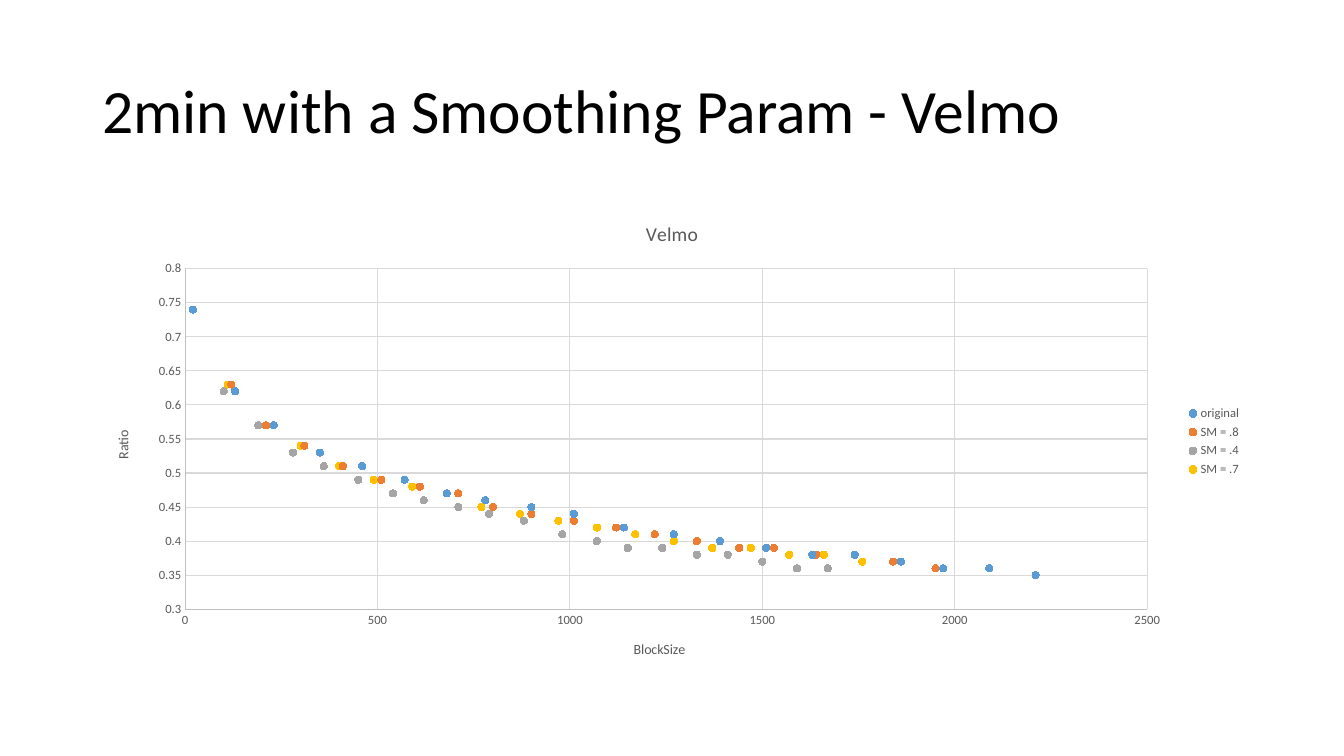
from lxml import etree
from pptx import Presentation
from pptx import util as u
from pptx.chart.data import XyChartData
from pptx.dml.color import RGBColor
from pptx.enum import chart as ch, text
from pptx.oxml.ns import qn

FONT = "Calibri"
BLACK = RGBColor(0, 0, 0)
TEXT_GREY = RGBColor(0x59, 0x59, 0x59)
AXIS_GREY = RGBColor(0xBF, 0xBF, 0xBF)
GRID_GREY = RGBColor(0xD9, 0xD9, 0xD9)
BLUE = RGBColor(0x5B, 0x9B, 0xD5)
ORANGE = RGBColor(0xED, 0x7D, 0x31)
GREY = RGBColor(0xA5, 0xA5, 0xA5)
YELLOW = RGBColor(0xFF, 0xC0, 0x00)

LEFT, WIDTH = u.Cm(2.33), u.Cm(29.21)
PROGRAM = "Velmo"

# name, colour, block sizes, ratios
SERIES = [
    ("original", BLUE,
     [20, 130, 230, 350, 460, 570, 680, 780, 900, 1010,
      1140, 1270, 1390, 1510, 1630, 1740, 1860, 1970, 2090, 2210],
     [0.74, 0.62, 0.57, 0.53, 0.51, 0.49, 0.47, 0.46, 0.45, 0.44,
      0.42, 0.41, 0.4, 0.39, 0.38, 0.38, 0.37, 0.36, 0.36, 0.35]),
    ("SM = .8", ORANGE,
     [20, 120, 210, 310, 410, 510, 610, 710, 800, 900,
      1010, 1120, 1220, 1330, 1440, 1530, 1640, 1740, 1840, 1950],
     [0.74, 0.63, 0.57, 0.54, 0.51, 0.49, 0.48, 0.47, 0.45, 0.44,
      0.43, 0.42, 0.41, 0.4, 0.39, 0.39, 0.38, 0.38, 0.37, 0.36]),
    ("SM = .4", GREY,
     [20, 100, 190, 280, 360, 450, 540, 620, 710, 790,
      880, 980, 1070, 1150, 1240, 1330, 1410, 1500, 1590, 1670],
     [0.74, 0.62, 0.57, 0.53, 0.51, 0.49, 0.47, 0.46, 0.45, 0.44,
      0.43, 0.41, 0.4, 0.39, 0.39, 0.38, 0.38, 0.37, 0.36, 0.36]),
    ("SM = .7", YELLOW,
     [20, 110, 210, 300, 400, 490, 590, 680, 770, 870,
      970, 1070, 1170, 1270, 1370, 1470, 1570, 1660, 1760, 1860],
     [0.74, 0.63, 0.57, 0.54, 0.51, 0.49, 0.48, 0.47, 0.45, 0.44,
      0.43, 0.42, 0.41, 0.4, 0.39, 0.39, 0.38, 0.38, 0.37, 0.37]),
]


def set_all(target, **values):
    for name, value in values.items():
        setattr(target, name, value)


def style_font(font, size, color=TEXT_GREY):
    set_all(font, name=FONT, size=u.Pt(size), bold=False)
    font.color.rgb = color


def style_line(line, color):
    line.color.rgb = color
    line.width = u.Pt(0.75)


def add_heading(page, words):
    box = page.shapes.add_textbox(LEFT, u.Cm(1.01), WIDTH, u.Cm(3.68))
    frame = box.text_frame
    set_all(frame, word_wrap=True, vertical_anchor=text.MSO_ANCHOR.MIDDLE)
    para = frame.paragraphs[0]
    para.line_spacing = 0.9
    span = para.add_run()
    span.text = words
    style_font(span.font, 44, BLACK)


def set_title(owner, words, size):
    """Title a chart or an axis."""
    frame = owner.text_frame
    frame.text = words
    style_font(frame.paragraphs[0].runs[0].font, size)


def style_axis(axis, title, **scale):
    set_all(axis, has_major_gridlines=True, has_minor_gridlines=False,
            major_tick_mark=ch.XL_TICK_MARK.NONE,
            minor_tick_mark=ch.XL_TICK_MARK.NONE, **scale)
    set_all(axis.tick_labels, number_format="General",
            number_format_is_linked=False)
    style_font(axis.tick_labels.font, 9)
    style_line(axis.format.line, AXIS_GREY)
    style_line(axis.major_gridlines.format.line, GRID_GREY)
    set_title(axis.axis_title, title, 10)


def place_plot(chart, **fractions):
    """Fix the inner plot area as fractions of the chart frame."""
    plot_area = chart.plots[0]._element.getparent()
    for old in plot_area.findall(qn("c:layout")):
        plot_area.remove(old)
    layout = etree.Element(qn("c:layout"))
    plot_area.insert(0, layout)
    manual = etree.SubElement(layout, qn("c:manualLayout"))
    settings = {"layoutTarget": "inner", "xMode": "edge", "yMode": "edge"}
    for name, value in {**settings, **fractions}.items():
        etree.SubElement(manual, qn("c:" + name)).set("val", str(value))


def add_scatter(page):
    data = XyChartData()
    for name, _, sizes, ratios in SERIES:
        entry = data.add_series(name)
        for size, ratio in zip(sizes, ratios):
            entry.add_data_point(size, ratio)
    chart = page.shapes.add_chart(ch.XL_CHART_TYPE.XY_SCATTER, LEFT, u.Cm(5.08),
                                  WIDTH, u.Cm(12.09), data).chart
    style_font(chart.font, 10, BLACK)
    set_all(chart, has_title=True, has_legend=True)
    set_title(chart.chart_title, PROGRAM, 14)
    set_all(chart.legend, position=ch.XL_LEGEND_POSITION.RIGHT,
            include_in_layout=False)
    style_font(chart.legend.font, 9)
    style_axis(chart.category_axis, "BlockSize",
               minimum_scale=0, maximum_scale=2500, major_unit=500)
    style_axis(chart.value_axis, "Ratio",
               minimum_scale=0.3, maximum_scale=0.8, major_unit=0.05)
    chart.plots[0].vary_by_categories = False
    for series, (_, color, _, _) in zip(chart.plots[0].series, SERIES):
        series.smooth = False
        series.format.line.fill.background()
        marker = series.marker
        set_all(marker, style=ch.XL_MARKER_STYLE.CIRCLE, size=5)
        marker.format.fill.solid()
        marker.format.fill.fore_color.rgb = color
        style_line(marker.format.line, color)
    place_plot(chart, x=0.08, y=0.14, w=0.83, h=0.71)


def main():
    deck = Presentation()
    set_all(deck, slide_width=u.Cm(33.87), slide_height=u.Cm(19.05))
    page = deck.slides.add_slide(deck.slide_layouts[6])
    add_heading(page, f"2min with a Smoothing Param - {PROGRAM}")
    add_scatter(page)
    deck.save("out.pptx")


if __name__ == "__main__":
    main()
